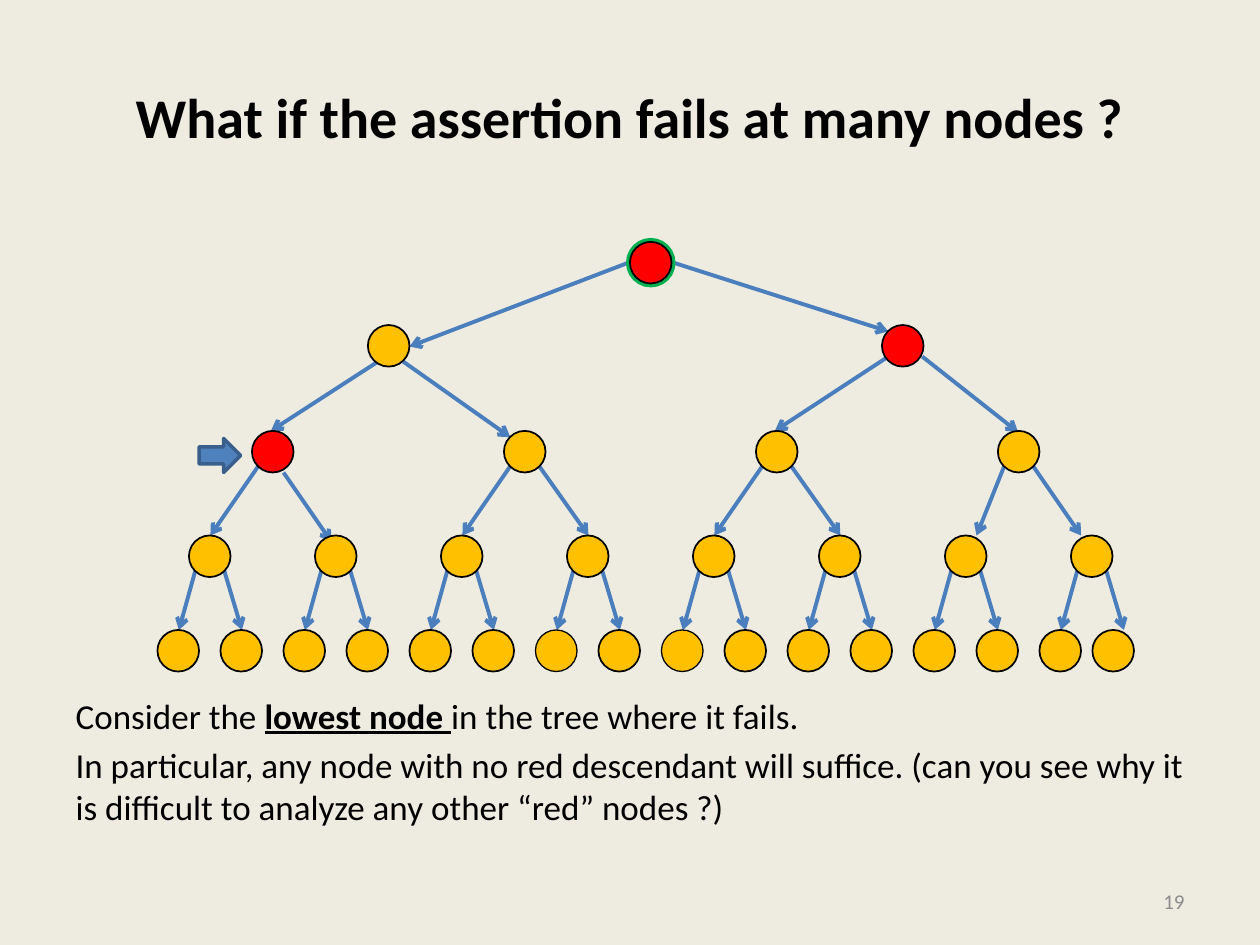
from dataclasses import dataclass

from pptx import Presentation
from pptx.dml.color import RGBColor
from pptx.enum.shapes import MSO_CONNECTOR as Connector, MSO_SHAPE as Shape
from pptx.enum.text import MSO_ANCHOR as Anchor, PP_ALIGN as Align
from pptx.oxml.ns import qn
from pptx.util import Inches, Pt
from lxml.etree import SubElement


@dataclass(frozen=True)
class Theme:
    font: str = "Calibri"
    paper: str = "EEECE1"
    ink: str = "000000"
    muted: str = "8C8C8C"
    edge: str = "4B7EBC"
    gold: str = "FFC000"
    red: str = "FF0000"
    green: str = "00B050"
    pointer: str = "4F81BD"
    pointer_line: str = "3A5F8C"
    title_size: int = 32
    body_size: int = 20
    number_size: int = 12


NODE = 0.33
ROOT_Y, CHILD_Y, INNER_Y, TWIG_Y, LEAF_Y = 1.92, 2.58, 3.42, 4.25, 5


class TreeSlide:
    def __init__(self, page, theme):
        self.page = page
        self.theme = theme
        fill = page.background.fill
        fill.solid()
        fill.fore_color.rgb = RGBColor.from_string(theme.paper)

    def place(self, box, left, top, width, height):
        box.left, box.top = Inches(left), Inches(top)
        box.width, box.height = Inches(width), Inches(height)

    def style(self, span, size, color, bold=False, underline=False):
        font = span.font
        font.name = self.theme.font
        font.size = Pt(size)
        font.bold = bold
        font.underline = underline
        font.color.rgb = RGBColor.from_string(color)

    def title(self, text, *area):
        box = self.page.shapes.title
        self.place(box, *area)
        frame = box.text_frame
        frame.text = text
        frame.vertical_anchor = Anchor.MIDDLE
        para = frame.paragraphs[0]
        para.alignment = Align.CENTER
        self.style(para.runs[0], self.theme.title_size, self.theme.ink, bold=True)

    def body(self, paragraphs, *area):
        box = self.page.placeholders[1]
        self.place(box, *area)
        frame = box.text_frame
        for index, spans in enumerate(paragraphs):
            para = frame.add_paragraph() if index else frame.paragraphs[0]
            para.space_before = Pt(4 if index else 0)
            properties = para._p.get_or_add_pPr()
            properties.set("marL", "0")
            properties.set("indent", "0")
            SubElement(properties, qn("a:buNone"))
            for text, strong in spans:
                span = para.add_run()
                span.text = text
                self.style(span, self.theme.body_size, self.theme.ink, strong, strong)

    def page_number(self, text, *area):
        box = self.page.shapes.add_textbox(*map(Inches, area))
        frame = box.text_frame
        frame.word_wrap = True
        frame.text = text
        frame.vertical_anchor = Anchor.MIDDLE
        para = frame.paragraphs[0]
        para.alignment = Align.RIGHT
        self.style(para.runs[0], self.theme.number_size, self.theme.muted)

    def arrow(self, x1, y1, x2, y2):
        line = self.page.shapes.add_connector(
            Connector.STRAIGHT, *map(Inches, (x1, y1, x2, y2)))
        line.line.color.rgb = RGBColor.from_string(self.theme.edge)
        line.line.width = Pt(2.25)
        SubElement(line.line._get_or_add_ln(), qn("a:tailEnd"), type="arrow")
        SubElement(line._element.spPr, qn("a:effectLst"))

    def shape(self, kind, area, fill, line, weight):
        shape = self.page.shapes.add_shape(kind, *map(Inches, area))
        shape.shadow.inherit = False
        shape.fill.solid()
        shape.fill.fore_color.rgb = RGBColor.from_string(fill)
        shape.line.color.rgb = RGBColor.from_string(line)
        shape.line.width = Pt(weight)

    def node(self, x, y, fill, line=None, weight=1):
        self.shape(Shape.OVAL, (x, y, NODE, NODE), fill, line or self.theme.ink, weight)


def draw_edges(slide):
    upper_edges = [
        (5, 2.08, 3.25, 2.75), (5.33, 2.08, 7.05, 2.63),
        (3, 2.87, 2.15, 3.42), (3.2, 2.87, 4.05, 3.47),
        (7.05, 2.83, 6.15, 3.42), (7.32, 2.83, 8.08, 3.43),
        (2.05, 3.7, 1.67, 4.25), (2.25, 3.75, 2.63, 4.3),
        (7.97, 3.7, 7.75, 4.25), (8.2, 3.7, 8.58, 4.25),
    ]
    for edge in upper_edges:
        slide.arrow(*edge)
    for x in (4, 6):
        slide.arrow(x + 0.05, 3.7, x - 0.33, TWIG_Y)
        slide.arrow(x + 0.28, 3.7, x + 0.67, TWIG_Y)
    for index in range(8):
        x = 1.5 + index
        slide.arrow(x + 0.05, 4.53, x - 0.08, LEAF_Y)
        slide.arrow(x + 0.28, 4.53, x + 0.42, LEAF_Y)


def draw_nodes(slide, theme):
    thin_leaves = (4.25, 5.25)
    for x in [1.25 + 0.5 * index for index in range(15)] + [8.67]:
        slide.node(x, LEAF_Y, theme.gold, weight=0.75 if x in thin_leaves else 1)
    for index in range(8):
        slide.node(1.5 + index, TWIG_Y, theme.gold)
    for x, fill in ((2, theme.red), (4, theme.gold), (6, theme.gold), (7.92, theme.gold)):
        slide.node(x, INNER_Y, fill)
    for x, fill in ((2.92, theme.gold), (7, theme.red)):
        slide.node(x, CHILD_Y, fill)
    slide.node(5, ROOT_Y, theme.gold, theme.green, 4.5)
    slide.node(5, ROOT_Y, theme.red)


def main():
    theme = Theme()
    deck = Presentation()
    deck.slide_width, deck.slide_height = Inches(10), Inches(7.5)
    slide = TreeSlide(deck.slides.add_slide(deck.slide_layouts[1]), theme)
    slide.title("What if the assertion fails at many nodes ?", 0.5, 0.3, 9, 1.25)
    slide.body([
        [("Consider the ", False), ("lowest node ", True),
         ("in the tree where it fails.", False)],
        [("In particular, any node with no red descendant will suffice. "
          "(can you see why it is difficult to analyze any other “red” nodes ?)", False)],
    ], 0.5, 5.46, 9, 1.24)
    slide.page_number("19", 7.17, 6.95, 2.33, 0.4)
    draw_edges(slide)
    draw_nodes(slide, theme)
    slide.shape(Shape.RIGHT_ARROW, (1.58, 3.48, 0.33, 0.27),
                theme.pointer, theme.pointer_line, 2)
    deck.save("out.pptx")


if __name__ == "__main__":
    main()
